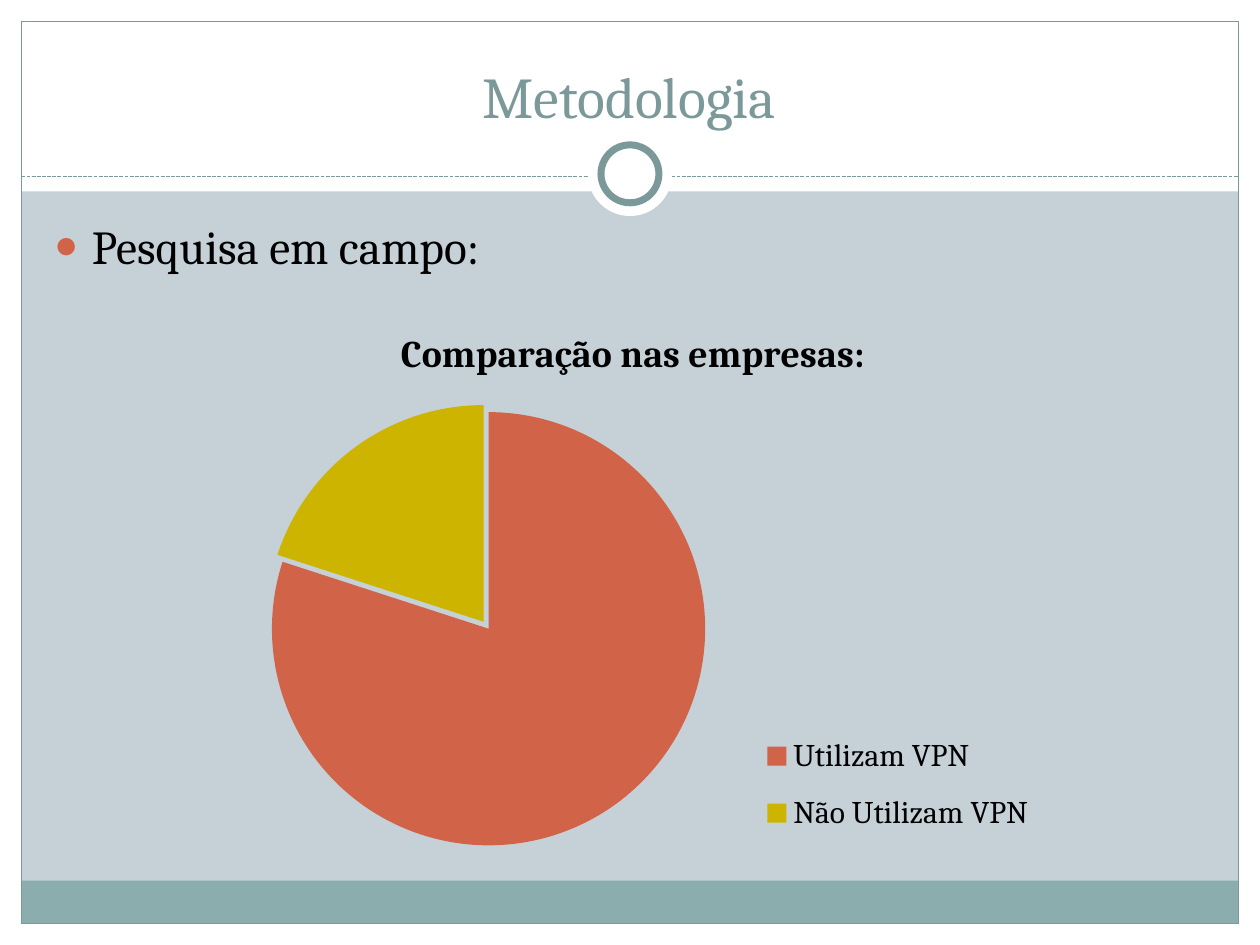
from dataclasses import dataclass

from lxml.etree import SubElement
from pptx import Presentation
from pptx.chart.data import CategoryChartData
from pptx.dml.color import RGBColor
from pptx.enum.chart import XL_CHART_TYPE, XL_LEGEND_POSITION
from pptx.enum.dml import MSO_LINE
from pptx.enum.shapes import MSO_CONNECTOR, MSO_SHAPE
from pptx.enum.text import MSO_ANCHOR, MSO_AUTO_SIZE, PP_ALIGN
from pptx.oxml import parse_xml
from pptx.oxml.ns import nsdecls, qn
from pptx.util import Inches, Pt


@dataclass(frozen=True)
class Theme:
    """Colours, type sizes and page measures."""
    font: str = "Cambria"
    white: str = "FFFFFF"
    ground: str = "C5D1D7"
    band: str = "8CADAE"
    accent: str = "7C999A"
    ink: str = "000000"
    slices: tuple = ("D16349", "CCB400")
    title_size: float = 33
    body_size: float = 27
    chart_title_size: float = 21.6
    chart_size: float = 18
    hairline: float = 0.75
    ring: float = 4
    width: float = 10
    height: float = 7.5
    margin: float = 0.17


THEME = Theme()


def set_values(target, values):
    """Set each attribute named in a dict."""
    for name, value in values.items():
        setattr(target, name, value)


def set_font(font, size, colour, bold=False):
    """Give a font its face, size and colour."""
    set_values(font, {"name": THEME.font, "size": Pt(size), "bold": bold})
    font.color.rgb = RGBColor.from_string(colour)


def set_line(line, colour, weight):
    """Give an outline its colour and weight."""
    line.color.rgb = RGBColor.from_string(colour)
    line.width = Pt(weight)


def add_block(page, kind, frame, fill=None, line=None, weight=THEME.hairline):
    """Add a flat shape with an optional fill and outline."""
    shape = page.shapes.add_shape(kind, *map(Inches, frame))
    shape.shadow.inherit = False
    if fill:
        shape.fill.solid()
        shape.fill.fore_color.rgb = RGBColor.from_string(fill)
    else:
        shape.fill.background()
    if line:
        set_line(shape.line, line, weight)
    else:
        shape.line.fill.background()


def add_circle(page, centre_y, diameter, **style):
    """Add a white circle on the vertical axis of the page."""
    frame = ((THEME.width - diameter) / 2, centre_y - diameter / 2, diameter, diameter)
    add_block(page, MSO_SHAPE.OVAL, frame, fill=THEME.white, **style)


def add_divider(page, y):
    """Add the dashed rule between the margins."""
    ends = (THEME.margin, y, THEME.width - THEME.margin, y)
    divider = page.shapes.add_connector(MSO_CONNECTOR.STRAIGHT, *map(Inches, ends))
    set_line(divider.line, THEME.accent, THEME.hairline)
    divider.line.dash_style = MSO_LINE.SQUARE_DOT
    SubElement(divider.element.spPr, qn("a:effectLst"))


def add_frame(page):
    """Draw the margins, heading, footer band and ring."""
    wide, high, edge = THEME.width, THEME.height, THEME.margin
    inner_wide, inner_high = wide - 2 * edge, high - 2 * edge
    rectangle, band_height = MSO_SHAPE.RECTANGLE, 2 * edge
    for frame in ((0, high - edge, wide, edge), (0, 0, wide, 1.52),
                  (0, 0, edge, high), (wide - edge, 0, edge, high)):
        add_block(page, rectangle, frame, fill=THEME.white)
    add_block(page, rectangle, (edge, high - edge - band_height, inner_wide, band_height), fill=THEME.band)
    add_block(page, rectangle, (edge, edge, inner_wide, inner_high), line=THEME.accent)
    add_divider(page, 1.4)
    add_circle(page, 1.38, 0.67)
    add_circle(page, 1.38, 0.46, line=THEME.accent, weight=THEME.ring)


def fill_placeholder(box, frame, text, size, colour, anchor):
    """Place a placeholder in front and write its paragraph."""
    set_values(box, dict(zip(("left", "top", "width", "height"), map(Inches, frame))))
    box.element.getparent().append(box.element)
    set_values(box.text_frame, {"word_wrap": True, "auto_size": MSO_AUTO_SIZE.NONE,
                                "vertical_anchor": anchor})
    para = box.text_frame.paragraphs[0]
    span = para.add_run()
    span.text = text
    set_font(span.font, size, colour)
    return para


def add_bullet(para, colour):
    """Give a paragraph a coloured round bullet with a hanging indent."""
    para.space_before = Pt(THEME.body_size * 0.2)
    props = para._p.get_or_add_pPr()
    props.set("marL", str(Inches(0.3)))
    props.set("indent", str(Inches(-0.3)))
    marks = (("buClr", {}), ("buSzPct", {"val": "85000"}),
             ("buFont", {"typeface": "Arial"}), ("buChar", {"char": "●"}))
    for tag, values in marks:
        mark = SubElement(props, qn(f"a:{tag}"), values)
        if tag == "buClr":
            SubElement(mark, qn("a:srgbClr"), {"val": colour})


def make_layout(target, shares):
    """Make a manual chart layout from shares of the chart's size."""
    inner = '<c:layoutTarget val="inner"/>' if target else ""
    modes = '<c:xMode val="edge"/><c:yMode val="edge"/>'
    sizes = "".join(f'<c:{name} val="{share}"/>' for name, share in zip("xywh", shares))
    return parse_xml(f'<c:layout {nsdecls("c")}><c:manualLayout>{inner}{modes}{sizes}'
                     "</c:manualLayout></c:layout>")


def place_part(part, after, layout):
    """Replace the layout of a chart part."""
    for old in part.findall(qn("c:layout")):
        part.remove(old)
    if after is None:
        part.insert(0, layout)
    else:
        part.find(qn(after)).addnext(layout)


def add_pie(page, frame, title, shares):
    """Add the pie chart with its title and legend."""
    data = CategoryChartData()
    data.categories = list(shares)
    data.add_series(title, list(shares.values()))
    chart = page.shapes.add_chart(XL_CHART_TYPE.PIE, *map(Inches, frame), data).chart
    set_font(chart.font, THEME.chart_size, THEME.ink)
    set_values(chart, {"has_title": True, "has_legend": True})
    chart.chart_title.text_frame.text = title
    span = chart.chart_title.text_frame.paragraphs[0].runs[0]
    set_font(span.font, THEME.chart_title_size, THEME.ink, bold=True)
    set_values(chart.legend, {"position": XL_LEGEND_POSITION.RIGHT, "include_in_layout": False})
    set_font(chart.legend.font, THEME.chart_size, THEME.ink)
    plot = chart.plots[0]
    plot.vary_by_categories = True
    series = plot.series[0]
    for index, colour in enumerate(THEME.slices):
        fill = series.points[index].format.fill
        fill.solid()
        fill.fore_color.rgb = RGBColor.from_string(colour)
    explosion = parse_xml(f'<c:explosion {nsdecls("c")} val="2"/>')
    series._element.find(qn("c:dPt")).addprevious(explosion)
    area = chart.element.find(f".//{qn('c:plotArea')}")
    legend = chart.element.find(f".//{qn('c:legend')}")
    place_part(area, None, make_layout(True, (0.06, 0.18, 0.53, 0.79)))
    place_part(legend, "c:legendPos", make_layout(False, (0.63, 0.74, 0.37, 0.24)))


def main():
    """Build the slide and save it."""
    deck = Presentation()
    set_values(deck, {"slide_width": Inches(THEME.width), "slide_height": Inches(THEME.height)})
    page = deck.slides.add_slide(deck.slide_layouts[1])
    page.background.fill.solid()
    page.background.fill.fore_color.rgb = RGBColor.from_string(THEME.ground)
    add_frame(page)
    heading = fill_placeholder(page.shapes.title, (0.33, 0.25, 9.33, 0.83), "Metodologia",
                               THEME.title_size, THEME.accent, MSO_ANCHOR.BOTTOM)
    heading.alignment = PP_ALIGN.CENTER
    item = fill_placeholder(page.placeholders[1], (0.33, 1.67, 9.3, 5), "Pesquisa em campo:",
                            THEME.body_size, THEME.ink, MSO_ANCHOR.TOP)
    add_bullet(item, THEME.slices[0])
    add_pie(page, (1.69, 2.41, 6.67, 4.44), "Comparação nas empresas:",
            {"Utilizam VPN": 80, "Não Utilizam VPN": 20})
    deck.save("out.pptx")


main()
